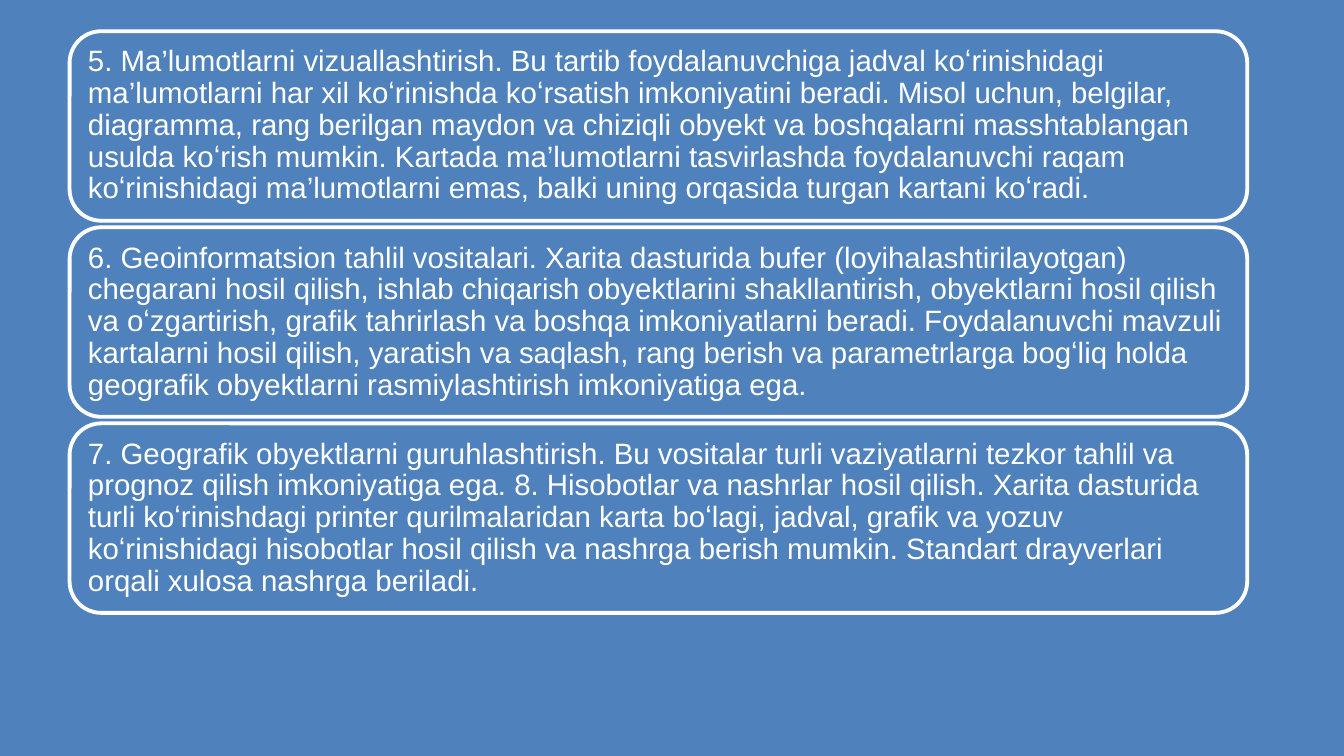
from pptx import Presentation
from pptx.dml.color import RGBColor as Rgb
from pptx.enum.shapes import MSO_SHAPE as Shape
from pptx.enum.text import MSO_ANCHOR as Anchor, PP_ALIGN as Align
from pptx.util import Inches, Pt

COLORS = {"blue": "4F81BD", "white": "FFFFFF"}
LEFT, TOP = 0.69, 0.31
WIDTH, HEIGHT = 11.68, 1.88
STEP = 1.945  # row pitch: card height plus gap

CARDS = [
    "5. Ma’lumotlarni vizuallashtirish. Bu tartib foydalanuvchiga jadval "
    "koʻrinishidagi ma’lumotlarni har хil koʻrinishda koʻrsatish imkoniyatini "
    "beradi. Misol uchun, belgilar, diagramma, rang berilgan maydon va chiziqli "
    "obyekt va boshqalarni masshtablangan usulda koʻrish mumkin. Kartada "
    "ma’lumotlarni tasvirlashda foydalanuvchi raqam koʻrinishidagi "
    "ma’lumotlarni emas, balki uning orqasida turgan kartani koʻradi.",
    "6. Geоinfоrmаtsiоn tahlil vositalari. Xarita dasturida bufer "
    "(loyihalashtirilayotgan) chegarani hosil qilish, ishlab chiqarish "
    "obyektlarini shakllantirish, obyektlarni hosil qilish va oʻzgartirish, "
    "grafik tahrirlash va boshqa imkoniyatlarni beradi. Foydalanuvchi mavzuli "
    "kartalarni hosil qilish, yaratish va saqlash, rang berish va parametrlarga "
    "bogʻliq holda geografik obyektlarni rasmiylashtirish imkoniyatiga ega.",
    "7. Geografik obyektlarni guruhlashtirish. Bu vositalar turli vaziyatlarni "
    "tezkor tahlil va prognoz qilish imkoniyatiga ega. 8. Hisobotlar va nashrlar "
    "hosil qilish. Xarita dasturida turli koʻrinishdagi printer qurilmalaridan "
    "karta boʻlagi, jadval, grafik va yozuv koʻrinishidagi hisobotlar hosil "
    "qilish va nashrga berish mumkin. Standart drayverlari orqali хulosa "
    "nashrga beriladi.",
]


def color(name):
    return Rgb.from_string(COLORS[name])


def write(frame, text, size=21, font="Arial", ink="white", pad=0.09):
    frame.word_wrap = True
    frame.vertical_anchor = Anchor.MIDDLE
    frame.margin_left = frame.margin_right = Inches(pad)
    frame.margin_top = frame.margin_bottom = Inches(pad)
    para = frame.paragraphs[0]
    para.alignment = Align.LEFT
    para.line_spacing = 0.9
    run = para.add_run()
    run.text = text
    run.font.name = font
    run.font.size = Pt(size)
    run.font.color.rgb = color(ink)


def add_card(slide, row, text):
    card = slide.shapes.add_shape(
        Shape.ROUNDED_RECTANGLE, Inches(LEFT), Inches(TOP + row * STEP),
        Inches(WIDTH), Inches(HEIGHT))
    card.shadow.inherit = False
    card.fill.solid()
    card.fill.fore_color.rgb = color("blue")
    card.line.color.rgb = color("white")
    card.line.width = Pt(2.75)
    write(card.text_frame, text)


def main():
    deck = Presentation()
    deck.slide_width, deck.slide_height = Inches(13.33), Inches(7.5)
    slide = deck.slides.add_slide(deck.slide_layouts[6])
    back = slide.background.fill
    back.solid()
    back.fore_color.rgb = color("blue")
    for row, text in enumerate(CARDS):
        add_card(slide, row, text)
    deck.save("out.pptx")


if __name__ == "__main__":
    main()
